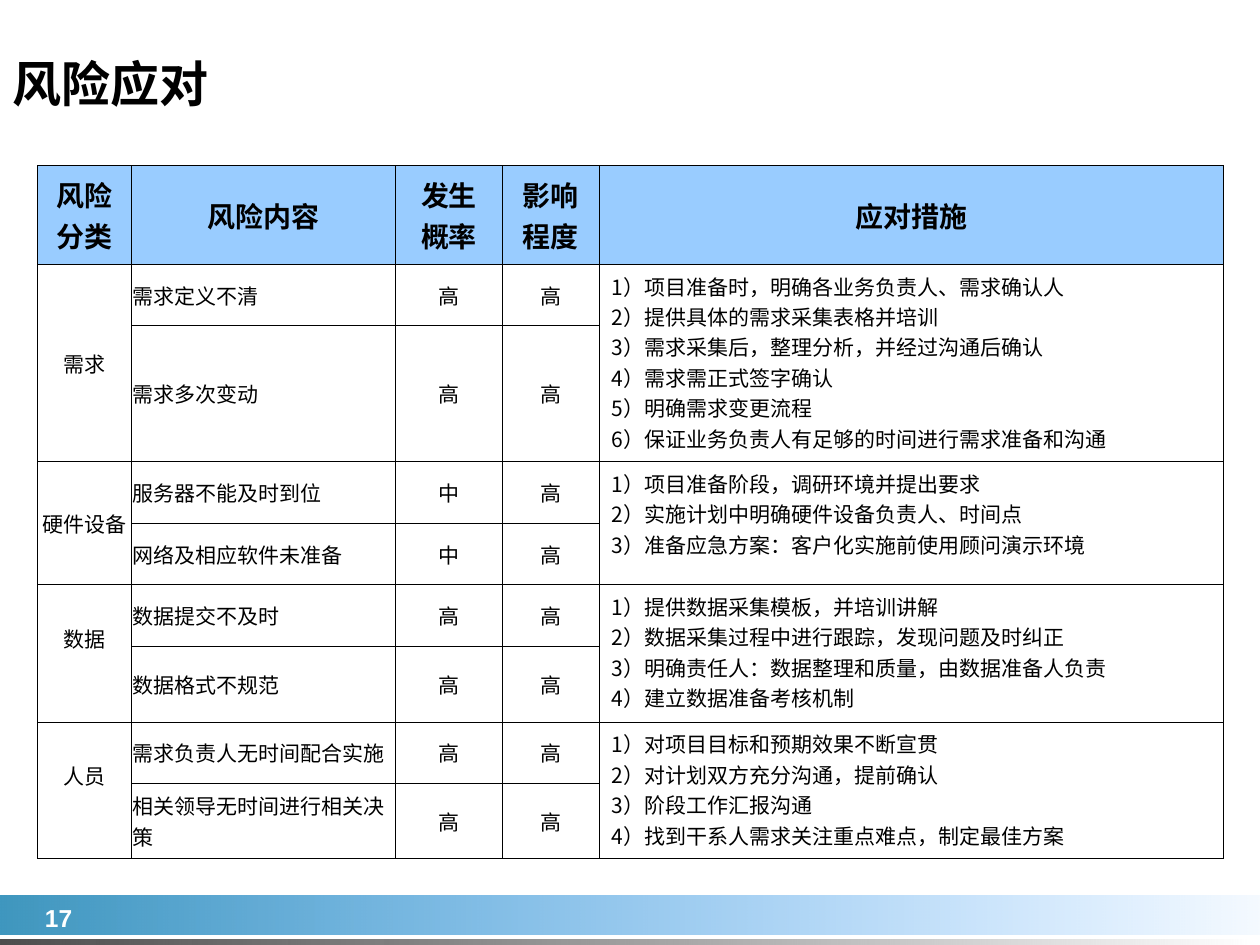
from dataclasses import dataclass

from pptx import Presentation
from pptx.dml.color import RGBColor
from pptx.enum.shapes import MSO_SHAPE as Shape
from pptx.enum.text import MSO_ANCHOR as Anchor, PP_ALIGN as Align
from pptx.oxml.ns import qn
from pptx.oxml.xmlchemy import OxmlElement as Element
from pptx.util import Pt

BLACK = RGBColor(0, 0, 0)
WHITE = RGBColor(255, 255, 255)
SKY = RGBColor(0x99, 0xCC, 0xFF)
TEAL = RGBColor(0x3F, 0x97, 0xBF)
BLUE = RGBColor(0x33, 0x99, 0xFF)
GREY = RGBColor(0x4D, 0x4D, 0x4D)
DARK = RGBColor(0x33, 0x33, 0x33)
HAN = "Noto Sans CJK SC"

COLS = [53.7, 150.9, 61.1, 55.4, 356.6]
ROWS = [56.6, 35.1, 77.7, 35.1, 35.1, 35.1, 43.4, 35.1, 43.1]
HEADS = ["风险分类", "风险内容", "发生概率", "影响程度", "应对措施"]


@dataclass
class Risk:
    text: str
    odds: str
    impact: str


@dataclass
class Group:
    name: str
    risks: list[Risk]
    steps: list[str]
    lift: float = 0  # extra space below the name


GROUPS = [
    Group("需求",
          [Risk("需求定义不清", "高", "高"), Risk("需求多次变动", "高", "高")],
          ["项目准备时，明确各业务负责人、需求确认人",
           "提供具体的需求采集表格并培训",
           "需求采集后，整理分析，并经过沟通后确认",
           "需求需正式签字确认",
           "明确需求变更流程",
           "保证业务负责人有足够的时间进行需求准备和沟通"]),
    Group("硬件设备",
          [Risk("服务器不能及时到位", "中", "高"), Risk("网络及相应软件未准备", "中", "高")],
          ["项目准备阶段，调研环境并提出要求",
           "实施计划中明确硬件设备负责人、时间点",
           "准备应急方案：客户化实施前使用顾问演示环境"]),
    Group("数据",
          [Risk("数据提交不及时", "高", "高"), Risk("数据格式不规范", "高", "高")],
          ["提供数据采集模板，并培训讲解",
           "数据采集过程中进行跟踪，发现问题及时纠正",
           "明确责任人：数据整理和质量，由数据准备人负责",
           "建立数据准备考核机制"], lift=17.4),
    Group("人员",
          [Risk("需求负责人无时间配合实施", "高", "高"),
           Risk("相关领导无时间进行相关决策", "高", "高")],
          ["对项目目标和预期效果不断宣贯",
           "对计划双方充分沟通，提前确认",
           "阶段工作汇报沟通",
           "找到干系人需求关注重点难点，制定最佳方案"], lift=17.4),
]


def write(frame, lines: list[str], *, size: float = 12, bold: bool = False,
          color: RGBColor = BLACK, font: str = HAN, align=Align.LEFT) -> None:
    """Fill a text frame, one paragraph a line."""
    frame.word_wrap = True
    for i, line in enumerate(lines):
        para = frame.add_paragraph() if i else frame.paragraphs[0]
        para.alignment = align
        run = para.add_run()
        run.text = line
        run.font.size = Pt(size)
        run.font.bold = bold
        run.font.name = font
        run.font.color.rgb = color
        east = Element("a:ea")
        east.set("typeface", font)
        run._r.get_or_add_rPr().append(east)


def add_label(slide, text: str, x: float, y: float, w: float, h: float, **style) -> None:
    frame = slide.shapes.add_textbox(Pt(x), Pt(y), Pt(w), Pt(h)).text_frame
    frame.vertical_anchor = Anchor.MIDDLE
    write(frame, [text], **style)


def add_band(slide, y: float, w: float, h: float,
             start: RGBColor, end: RGBColor, alpha: int) -> None:
    """Draw a footer band that fades out to the right."""
    band = slide.shapes.add_shape(Shape.RECTANGLE, 0, Pt(y), Pt(w), Pt(h))
    band.shadow.inherit = False
    band.line.fill.background()
    band.fill.gradient()
    band.fill.gradient_angle = 0
    for stop, color in zip(band.fill.gradient_stops, (start, end)):
        stop.color.rgb = color
    fade = Element("a:alpha")
    fade.set("val", str(alpha * 1000))
    list(band._element.spPr.iter(qn("a:srgbClr")))[-1].append(fade)


def frame_cell(cell) -> None:
    """Give a cell thin black borders and no fill."""
    props = cell._tc.get_or_add_tcPr()
    for side in ("a:lnL", "a:lnR", "a:lnT", "a:lnB"):
        line, fill, color = (Element(tag) for tag in (side, "a:solidFill", "a:srgbClr"))
        line.set("w", str(Pt(0.45)))
        color.set("val", str(BLACK))
        fill.append(color)
        line.append(fill)
        props.append(line)
    cell.fill.background()


def fill_cell(cell, lines: list[str], *, side: float = 7.2, lift: float = 0,
              anchor=Anchor.MIDDLE, **style) -> None:
    cell.margin_left = cell.margin_right = Pt(side)
    cell.margin_top, cell.margin_bottom = Pt(3.6), Pt(3.6 + lift)
    cell.vertical_anchor = anchor
    write(cell.text_frame, lines, **style)


def add_risks(slide) -> None:
    table = slide.shapes.add_table(len(ROWS), len(COLS), Pt(21.4), Pt(94.5),
                                   Pt(sum(COLS)), Pt(sum(ROWS))).table
    table.first_row = table.horz_banding = False
    for col, width in zip(table.columns, COLS):
        col.width = Pt(width)
    for row, height in zip(table.rows, ROWS):
        row.height = Pt(height)
    for cell in table.iter_cells():
        frame_cell(cell)

    for c, head in enumerate(HEADS):
        cell = table.cell(0, c)
        fill_cell(cell, [head], size=16, bold=True, align=Align.CENTER)
        cell.fill.solid()
        cell.fill.fore_color.rgb = SKY

    top = 1
    for group in GROUPS:
        last = top + len(group.risks) - 1
        for c in (0, 4):
            table.cell(top, c).merge(table.cell(last, c))
        fill_cell(table.cell(top, 0), [group.name], side=0.7, lift=group.lift,
                  align=Align.CENTER)
        steps = [f"{n}）{step}" for n, step in enumerate(group.steps, 1)]
        fill_cell(table.cell(top, 4), steps, anchor=Anchor.TOP)
        for r, risk in enumerate(group.risks, top):
            fill_cell(table.cell(r, 1), [risk.text], side=0.7)
            fill_cell(table.cell(r, 2), [risk.odds], align=Align.CENTER)
            fill_cell(table.cell(r, 3), [risk.impact], align=Align.CENTER)
        top = last + 1


def main() -> None:
    deck = Presentation()
    deck.slide_width, deck.slide_height = Pt(720), Pt(540)
    slide = deck.slides.add_slide(deck.slide_layouts[6])
    add_band(slide, 511.6, 720, 22.6, TEAL, BLUE, 5)
    add_band(slide, 536.8, 714, 3.2, GREY, DARK, 0)
    add_label(slide, "17", 10.8, 515.8, 45.4, 17.3, size=14, bold=True,
              color=WHITE, font="Arial", align=Align.CENTER)
    add_label(slide, "风险应对", 0, 21.6, 677.5, 52, size=28, bold=True)
    add_risks(slide)
    deck.save("out.pptx")


if __name__ == "__main__":
    main()
